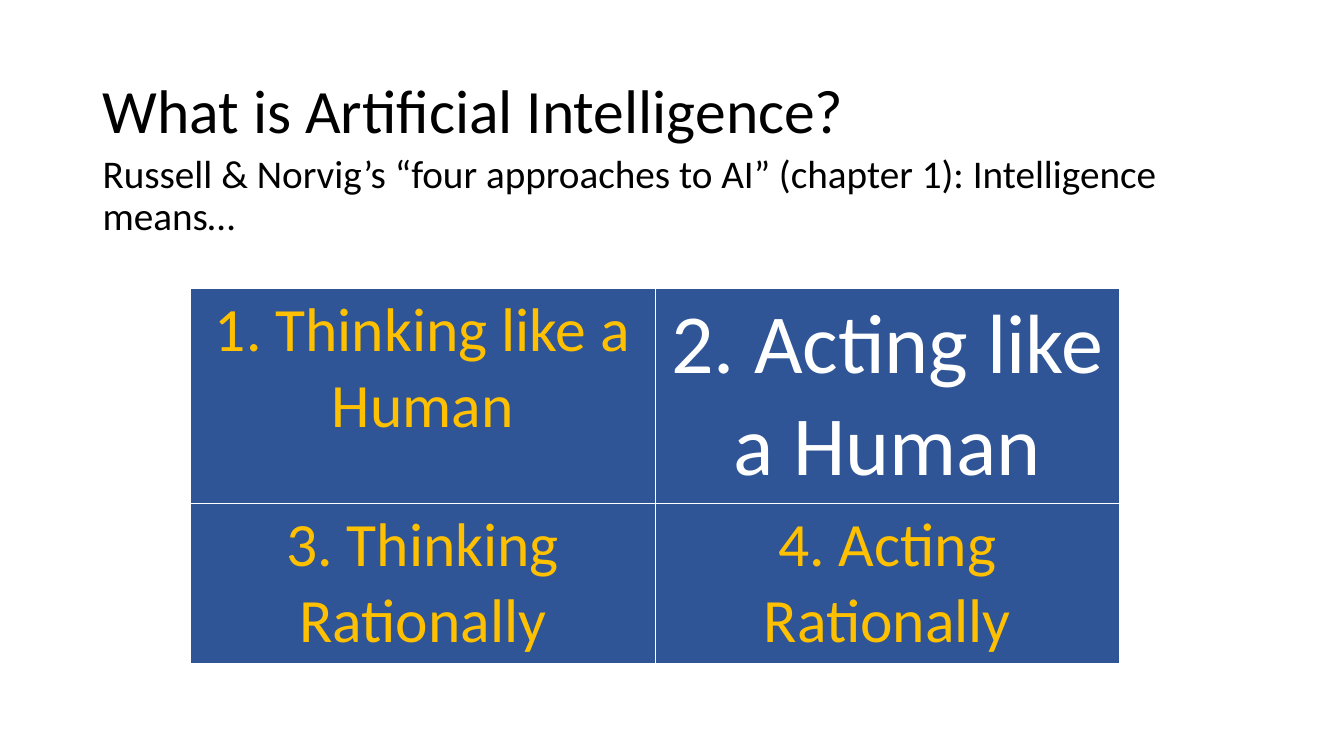
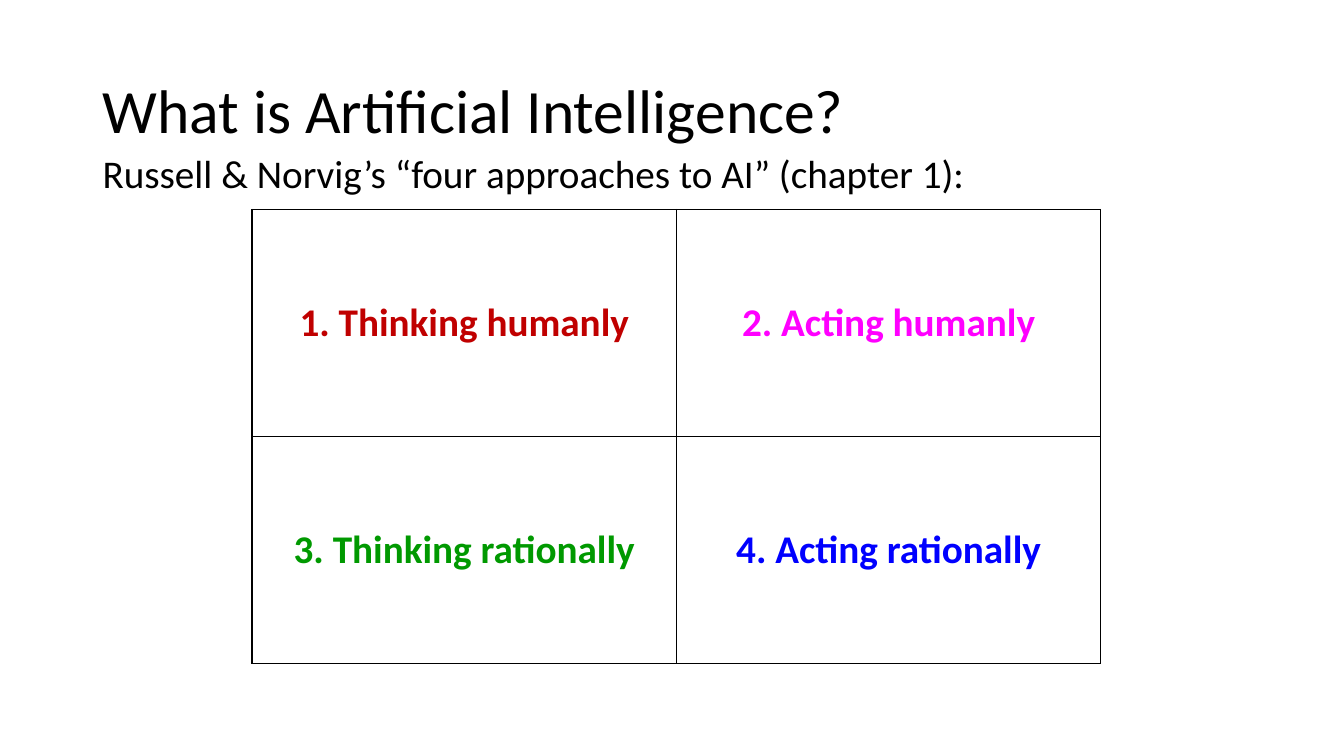
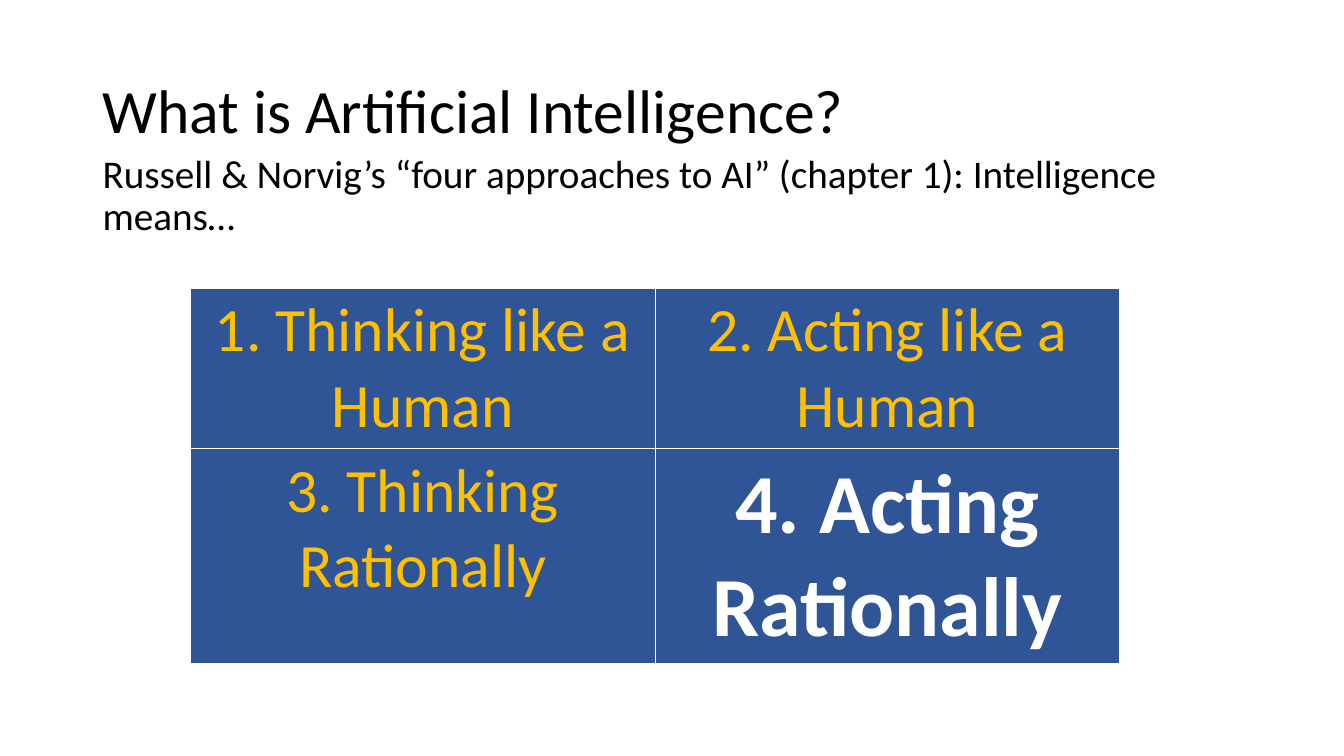
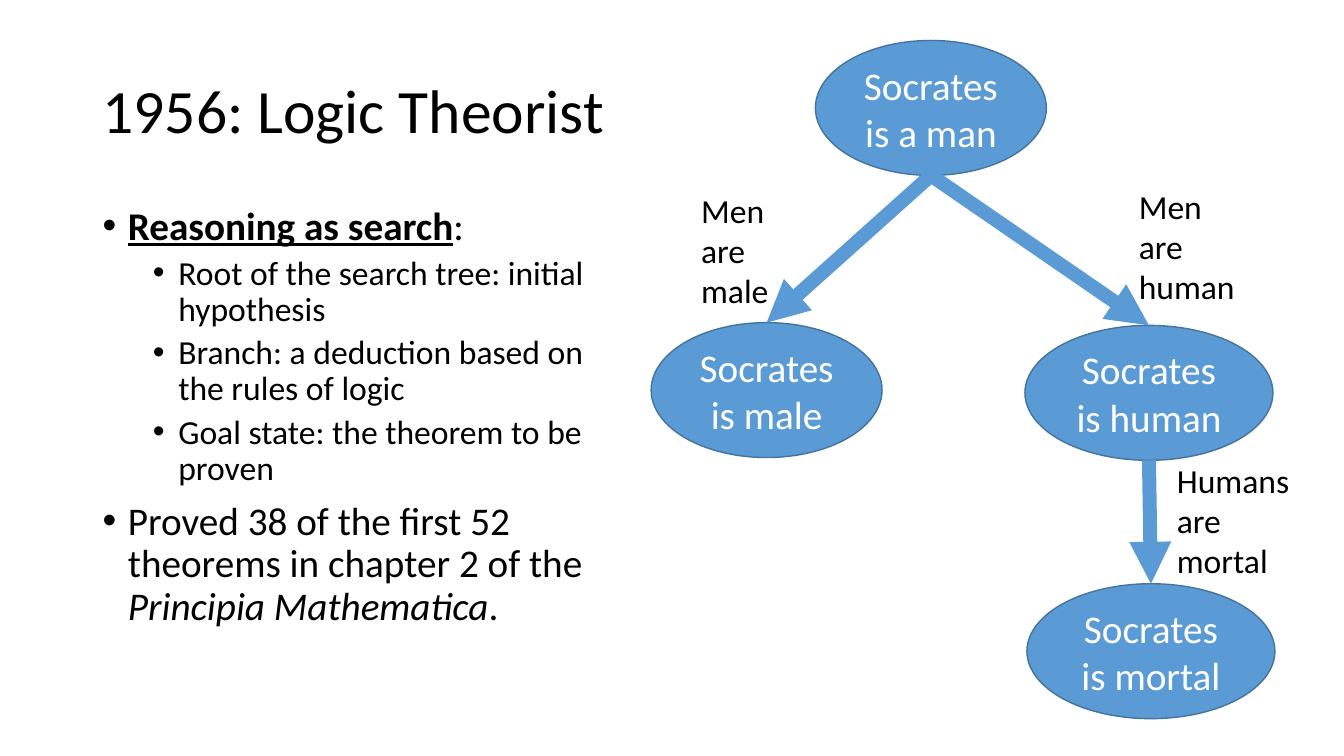
import lxml.etree
import pptx
import pptx.dml.color
import pptx.enum.shapes
import pptx.enum.text
import pptx.oxml.ns
import pptx.util

Cm = pptx.util.Cm
Pt = pptx.util.Pt
RGBColor = pptx.dml.color.RGBColor
ALIGN = pptx.enum.text.PP_ALIGN
ANCHOR = pptx.enum.text.MSO_ANCHOR

BLACK = RGBColor(0x00, 0x00, 0x00)
WHITE = RGBColor(0xFF, 0xFF, 0xFF)
NAVY = RGBColor(0x2F, 0x55, 0x97)
GOLD = RGBColor(0xFF, 0xC0, 0x00)
RED = RGBColor(0xC0, 0x00, 0x00)
PINK = RGBColor(0xFF, 0x00, 0xFF)
GREEN = RGBColor(0x00, 0x99, 0x00)
BLUE = RGBColor(0x00, 0x00, 0xFF)
SKY = RGBColor(0x5B, 0x9B, 0xD5)
STEEL = RGBColor(0x43, 0x73, 0x9E)
FONT = "Calibri"

LEFT, WIDE = 2.33, 29.21
TITLE = "What is Artificial Intelligence?"
LEAD = "Russell & Norvig’s “four approaches to AI” (chapter 1):"


def box(left, top, width, height):
    return Cm(left), Cm(top), Cm(width), Cm(height)


def add(parent, tag, **attrs):
    return lxml.etree.SubElement(parent, pptx.oxml.ns.qn(tag), **attrs)


def write(par, text, size=28, color=BLACK, bold=False, italic=False,
          under=False, align=ALIGN.LEFT):
    """Add one run to a paragraph."""
    par.alignment = align
    run = par.add_run()
    run.text = text
    font = run.font
    font.name, font.size, font.color.rgb = FONT, Pt(size), color
    font.bold, font.italic, font.underline = bold, italic, under


def place(shape, area, anchor):
    shape.left, shape.top, shape.width, shape.height = box(*area)
    frame = shape.text_frame
    frame.auto_size = pptx.enum.text.MSO_AUTO_SIZE.NONE
    frame.vertical_anchor = anchor
    return frame


def start(deck, title, area):
    """Add a slide with its title; return it and its body frame."""
    slide = deck.slides.add_slide(deck.slide_layouts[1])
    head = place(slide.shapes.title, (LEFT, 1.02, WIDE, 3.68), ANCHOR.MIDDLE)
    head.paragraphs[0].line_spacing = 0.9
    write(head.paragraphs[0], title, size=44)
    return slide, place(slide.placeholders[1], area, ANCHOR.TOP)


def item(frame, first, level=0, mark="•"):
    """Return a body paragraph, bulleted unless mark is empty."""
    par = frame.paragraphs[0] if first else frame.add_paragraph()
    par.level = level
    par.line_spacing = 0.9
    par.space_before = Pt(0 if first else 5 if level else 10)
    props = par._p.get_or_add_pPr()
    dent = Cm(0.64) if mark else 0
    props.set("marL", str(dent + Cm(1.27) * level))
    props.set("indent", str(-dent))
    if mark:
        add(props, "a:buChar", char=mark)
    else:
        add(props, "a:buNone")
    return par


def edge(cell, color):
    props = cell._tc.get_or_add_tcPr()
    for side in ("a:lnL", "a:lnR", "a:lnT", "a:lnB"):
        line = add(props, side, w=str(Pt(1)))
        add(add(line, "a:solidFill"), "a:srgbClr", val=str(color))


def grid(slide, area, rows, cells, fill, line, anchor):
    """Draw a two-column table from (text, format) cells."""
    table = slide.shapes.add_table(len(rows), 2, *box(*area)).table
    table.first_row = table.horz_banding = False
    for row, height in zip(table.rows, rows):
        row.height = Cm(height)
    for cell, (text, form) in zip(table.iter_cells(), cells):
        edge(cell, line)
        cell.fill.solid()
        cell.fill.fore_color.rgb = fill
        cell.vertical_anchor = anchor
        write(cell.text_frame.paragraphs[0], text, align=ALIGN.CENTER, **form)


def matrix(deck, lead, area, rows, cells, fill, line, anchor=ANCHOR.TOP):
    """Build a slide that shows the four approaches."""
    slide, body = start(deck, TITLE, (LEFT, 3.76, WIDE, 13.41))
    write(item(body, True, mark=""), lead)
    grid(slide, area, rows, cells, fill, line, anchor)


def focus(deck, pick, rows, bold):
    """Build the blue matrix with one approach made large."""
    names = ("1. Thinking like a Human", "2. Acting like a Human",
             "3. Thinking Rationally", "4. Acting Rationally")
    plain = dict(size=44, color=GOLD)
    large = dict(size=60, color=WHITE, bold=bold)
    cells = [(name, large if spot == pick else plain)
             for spot, name in enumerate(names)]
    matrix(deck, LEAD + " Intelligence means…", (4.8, 7.26, 23.42, sum(rows)),
           rows, cells, NAVY, WHITE)


def colors(deck):
    names = (("1. Thinking humanly", RED), ("2. Acting humanly", PINK),
             ("3. Thinking rationally", GREEN), ("4. Acting rationally", BLUE))
    cells = [(name, dict(color=tint, bold=True)) for name, tint in names]
    matrix(deck, LEAD, (6.35, 5.28, 21.39, 11.43), (5.72, 5.72), cells,
           WHITE, BLACK, ANCHOR.MIDDLE)


def node(slide, text, area):
    oval = slide.shapes.add_shape(
        pptx.enum.shapes.MSO_SHAPE.OVAL, *box(*area))
    oval.shadow.inherit = False
    oval.fill.solid()
    oval.fill.fore_color.rgb = SKY
    oval.line.color.rgb = STEEL
    oval.line.width = Pt(1)
    oval.text_frame.word_wrap = True
    oval.text_frame.vertical_anchor = ANCHOR.MIDDLE
    write(oval.text_frame.paragraphs[0], text, color=WHITE, align=ALIGN.CENTER)
    return oval


def arrow(slide, upper, lower):
    """Join the foot of one node to the top of another."""
    link = slide.shapes.add_connector(
        pptx.enum.shapes.MSO_CONNECTOR.STRAIGHT,
        upper.left + upper.width // 2, upper.top + upper.height,
        lower.left + lower.width // 2, lower.top)
    link.line.color.rgb = SKY
    link.line.width = Pt(10)
    add(link.line._get_or_add_ln(), "a:tailEnd", type="triangle")
    add(link._element.spPr, "a:effectLst")


def label(slide, text, area):
    frame = slide.shapes.add_textbox(*box(*area)).text_frame
    frame.word_wrap = True
    write(frame.paragraphs[0], text, size=24)


def tree(slide, left, top):
    """Draw the search tree from its top left corner."""
    nodes = {
        name: node(slide, "Socrates is " + name,
                   (left + x, top + y, width, 3.4))
        for name, x, y, width in (("a man", 4.14, 0, 5.82),
                                  ("male", 0, 7.11, 5.82),
                                  ("human", 9.42, 7.18, 6.25),
                                  ("mortal", 9.47, 13.69, 6.25))}
    for upper, lower, rule, x, y, width in (
            ("a man", "male", "Men are male", 1.01, 3.63, 2.97),
            ("a man", "human", "Men are human", 12.04, 3.53, 2.97),
            ("human", "mortal", "Humans are mortal", 13, 10.44, 3.68)):
        arrow(slide, nodes[upper], nodes[lower])
        label(slide, rule, (left + x, top + y, width, 3.33))


def logic(deck):
    slide, body = start(deck, "1956: Logic Theorist",
                        (LEFT, 5.08, 13.84, 12.09))
    par = item(body, True)
    write(par, "Reasoning as search", bold=True, under=True)
    write(par, ":")
    for text in ("Root of the search tree: initial hypothesis",
                 "Branch: a deduction based on the rules of logic",
                 "Goal state: the theorem to be proven"):
        write(item(body, False, level=1), text, size=24)
    par = item(body, False)
    write(par, "Proved 38 of the first 52 theorems in chapter 2 of the ")
    write(par, "Principia Mathematica", italic=True)
    write(par, ".")
    tree(slide, 16.41, 1.02)


def main():
    deck = pptx.Presentation()
    deck.slide_width, deck.slide_height = Cm(33.87), Cm(19.05)
    focus(deck, 1, (5.4, 4.03), False)
    colors(deck)
    focus(deck, 3, (4.03, 5.4), True)
    logic(deck)
    deck.save("out.pptx")


if __name__ == "__main__":
    main()
